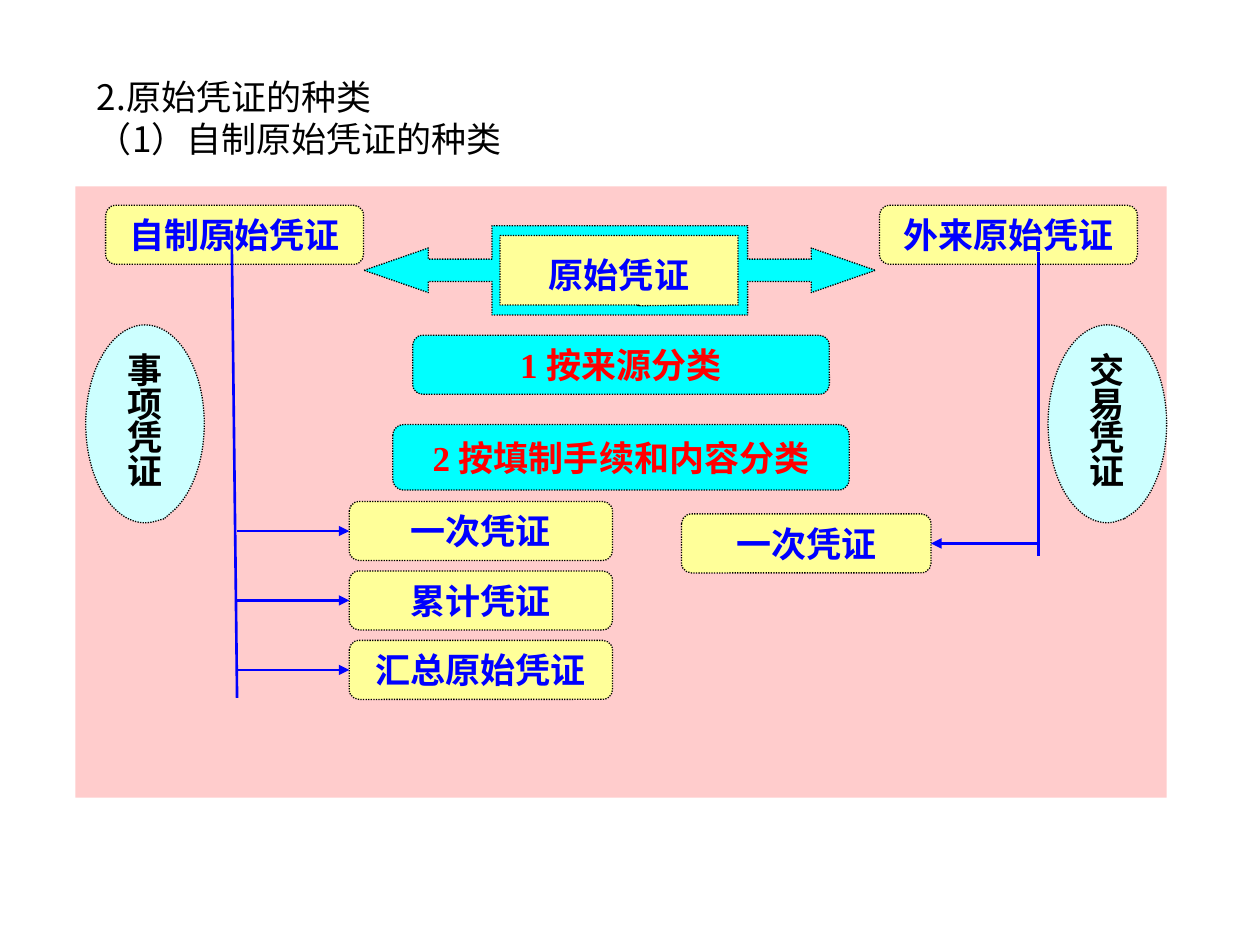
from dataclasses import dataclass

from lxml.etree import SubElement
from pptx import Presentation
from pptx.dml.color import RGBColor
from pptx.enum.dml import MSO_LINE
from pptx.enum.shapes import MSO_CONNECTOR, MSO_SHAPE as SHAPE
from pptx.enum.text import MSO_ANCHOR, MSO_AUTO_SIZE, PP_ALIGN
from pptx.oxml.ns import qn
from pptx.util import Cm, Pt


@dataclass(frozen=True)
class Theme:
    panel: str = "FFCCCC"
    cyan: str = "00FFFF"
    yellow: str = "FFFF99"
    pale: str = "CCFFFF"
    black: str = "000000"
    blue: str = "0000FF"
    red: str = "FF0000"
    latin: str = "Times New Roman"
    cjk: str = "Noto Sans CJK SC"
    size: int = 20
    outline: float = 0.75
    connector: float = 1.5


@dataclass(frozen=True)
class Box:
    """A region in centimetres."""
    x: float
    y: float
    w: float
    h: float

    def sub(self, dx, dy, w, h):
        return Box(self.x + dx, self.y + dy, w, h)

    def lengths(self):
        return [Cm(v) for v in (self.x, self.y, self.w, self.h)]


T = Theme()
LEFT, RIGHT = 1, 3  # connection sites
ROW_H = 1.19


def rgb(value):
    return RGBColor.from_string(value)


def style_text(p, color, latin, bold=False):
    p.font.size = Pt(T.size)
    p.font.bold = bold
    p.font.color.rgb = rgb(color)
    p.font.name = latin
    defaults = p._p.pPr.find(qn("a:defRPr"))
    SubElement(defaults, qn("a:ea")).set("typeface", T.cjk)


def add_block(slide, preset, box, fill, adjust=(), outlined=True):
    sp = slide.shapes.add_shape(preset, *box.lengths())
    sp.shadow.inherit = False
    sp.fill.solid()
    sp.fill.fore_color.rgb = rgb(fill)
    for i, value in enumerate(adjust):
        sp.adjustments[i] = value
    if outlined:
        sp.line.color.rgb = rgb(T.black)
        sp.line.width = Pt(T.outline)
        sp.line.dash_style = MSO_LINE.ROUND_DOT
    else:
        sp.line.fill.background()
    return sp


def add_label(sp, text, color, wrap=False, spacing=None):
    tf = sp.text_frame
    tf.word_wrap = wrap
    tf.vertical_anchor = MSO_ANCHOR.MIDDLE
    p = tf.paragraphs[0]
    p.text = text
    p.alignment = PP_ALIGN.CENTER
    if spacing:
        p.line_spacing = spacing
    style_text(p, color, T.latin, bold=True)


def add_card(slide, box, text, fill=T.yellow, color=T.blue):
    sp = add_block(slide, SHAPE.FLOWCHART_ALTERNATE_PROCESS, box, fill)
    add_label(sp, text, color)
    return sp


def add_line(slide, x1, y1, x2, y2, target=None, site=None):
    """A plain line, or an arrow joined to the target's side."""
    ln = slide.shapes.add_connector(
        MSO_CONNECTOR.STRAIGHT, Cm(x1), Cm(y1), Cm(x2), Cm(y2))
    ln.line.color.rgb = rgb(T.blue)
    ln.line.width = Pt(T.connector)
    SubElement(ln._element.spPr, qn("a:effectLst"))
    if target is not None:
        ln.end_connect(target, site)
        SubElement(ln.line._get_or_add_ln(), qn("a:tailEnd")).set("type", "triangle")


def heading(slide, box, lines):
    sp = slide.shapes.title
    sp.left, sp.top, sp.width, sp.height = box.lengths()
    tf = sp.text_frame
    tf.auto_size = MSO_AUTO_SIZE.NONE
    tf.word_wrap = True
    tf.vertical_anchor = MSO_ANCHOR.TOP
    for i, text in enumerate(lines):
        p = tf.add_paragraph() if i else tf.paragraphs[0]
        p.text = text
        p.alignment = PP_ALIGN.LEFT
        p.line_spacing = 0.85
        p.space_before = Pt(4 if i else 0)
        style_text(p, T.black, T.cjk)


def hub(slide, box, text):
    """Two-way arrow with the root term in its middle."""
    add_block(slide, SHAPE.LEFT_RIGHT_ARROW_CALLOUT, box, T.cyan,
              (0.25, 0.25, 0.72, 0.5))
    sp = add_block(slide, SHAPE.RECTANGULAR_CALLOUT, box.sub(2.74, 0.2, 4.8, 1.4),
                   T.yellow, (0.08, 0.51))
    add_label(sp, text, T.blue, spacing=1.2)


def criteria(slide, box):
    """Banners naming the two ways of classifying."""
    for dx, dy, w, h, text in (
            (0.4, 0, 8.4, ROW_H, "1 按来源分类"),
            (0, 1.8, 9.2, 1.32, "2 按填制手续和内容分类")):
        add_card(slide, box.sub(dx, dy, w, h), text, T.cyan, T.red)


def branch(slide, box, title, kind, items, title_x, oval_x, oval_tail,
           items_at, item_w, trunk_top, trunk_xs, site):
    """One source: header, side oval, trunk, and an arrow to each item."""
    add_card(slide, box.sub(title_x, 0, 5.2, ROW_H), title)
    top_x, foot_x = (box.x + x for x in trunk_xs)
    add_line(slide, top_x, box.y + trunk_top, foot_x, box.y + box.h)
    for i, text in enumerate(items):
        row = box.sub(items_at[0], items_at[1] + 1.4 * i, item_w, ROW_H)
        card = add_card(slide, row, text)
        mid = row.y + ROW_H / 2
        add_line(slide, foot_x, mid, row.x, mid, card, site)
    oval = add_block(slide, SHAPE.OVAL_CALLOUT, box.sub(oval_x, 2.41, 2.39, 3.99),
                     T.pale, oval_tail)
    add_label(oval, kind, T.black, wrap=True, spacing=0.8)


def diagram(slide, box):
    add_block(slide, SHAPE.RECTANGULAR_CALLOUT, box, T.panel, (-0.5, 0), outlined=False)
    hub(slide, box.sub(5.82, 0.79, 10.31, 1.8), "原始凭证")
    criteria(slide, box.sub(6.4, 3, 9.2, 3.12))
    branch(slide, box.sub(0.21, 0.38, 10.62, 9.93), "自制原始凭证", "事项凭证",
           ("一次凭证", "累计凭证", "汇总原始凭证"),
           title_x=0.4, oval_x=0, oval_tail=(0.16, 0.48), items_at=(5.31, 5.97),
           item_w=5.31, trunk_top=0.51, trunk_xs=(2.94, 3.05), site=LEFT)
    branch(slide, box.sub(12.22, 0.38, 9.78, 7.06), "外来原始凭证", "交易凭证",
           ("一次凭证",),
           title_x=3.99, oval_x=7.39, oval_tail=(0.14, 0.48), items_at=(0, 6.22),
           item_w=5.03, trunk_top=0.94, trunk_xs=(7.19, 7.19), site=RIGHT)


def main():
    prs = Presentation()
    prs.slide_width, prs.slide_height = Cm(25.4), Cm(19.05)
    slide = prs.slides.add_slide(prs.slide_layouts[5])
    heading(slide, Box(1.7, 1.52, 20.12, 2.24),
            ("2.原始凭证的种类", "（1）自制原始凭证的种类"))
    diagram(slide, Box(1.52, 3.76, 22, 12.32))
    prs.save("out.pptx")


if __name__ == "__main__":
    main()
